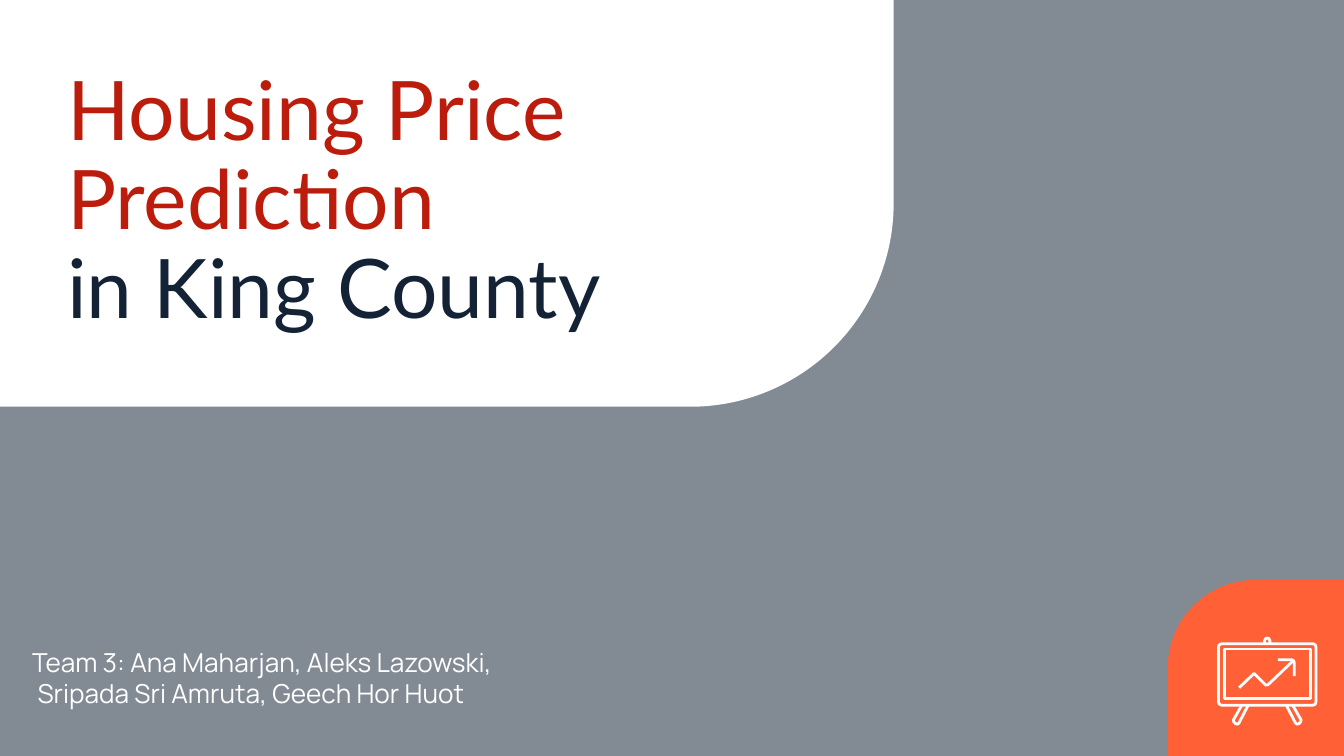
from dataclasses import dataclass

import pptx
import pptx.dml.color
import pptx.enum.shapes
import pptx.enum.text
import pptx.oxml
import pptx.oxml.ns
import pptx.util

Cm = pptx.util.Cm
Pt = pptx.util.Pt
Preset = pptx.enum.shapes.MSO_SHAPE
Point = tuple[float, float]


@dataclass(frozen=True)
class Theme:
    navy: str = "142236"
    red: str = "BB1C0B"
    orange: str = "FF6035"
    white: str = "FFFFFF"
    title_font: str = "Lato"
    team_font: str = "Manrope"
    title_size: float = 44
    team_size: float = 14
    icon_line: float = 1.5


@dataclass(frozen=True)
class Panel:
    """A filled area, in cm, with an optional flip and opacity in percent."""
    preset: int
    left: float
    top: float
    width: float
    height: float
    color: str
    flip: str = ""
    opacity: int = 100


THEME = Theme()
WIDTH, HEIGHT = 25.4, 14.29
BADGE = 3.33
ICON_CENTER = 23.95

PANELS = [
    Panel(Preset.RECTANGLE, 0, 0, WIDTH, HEIGHT, THEME.navy, opacity=53),
    Panel(Preset.ROUND_1_RECTANGLE, 0, 0, 16.89, 7.69, THEME.white, flip="flipV"),
    Panel(Preset.ROUND_1_RECTANGLE, WIDTH - BADGE, HEIGHT - BADGE, BADGE, BADGE,
          THEME.orange, flip="flipH"),
]

# Icon outlines: x is measured from the icon's centre line, y from the slide top
LEFT_LEG: list[Point] = [(-0.48, 13.33), (-0.64, 13.61), (-0.63, 13.65), (-0.6, 13.68),
                         (-0.56, 13.69), (-0.53, 13.66), (-0.36, 13.33)]
KNOB_LEFT: list[Point] = [(-0.05, 12.17), (-0.05, 12.11), (-0.03, 12.07), (0, 12.06)]
TREND: list[Point] = [(0.48, 12.5), (0.03, 12.93), (0, 12.95), (-0.03, 12.95),
                      (-0.05, 12.93), (-0.25, 12.73), (-0.53, 13)]
TREND_HEAD: list[Point] = [(0.2, 12.47), (0.46, 12.47), (0.5, 12.49),
                           (0.51, 12.53), (0.51, 12.78)]


def rgb(color: str) -> pptx.dml.color.RGBColor:
    return pptx.dml.color.RGBColor.from_string(color)


def mirrored(points: list[Point]) -> list[Point]:
    return [(-x, y) for x, y in points]


def draw_panel(slide, panel: Panel) -> None:
    shape = slide.shapes.add_shape(panel.preset, Cm(panel.left), Cm(panel.top),
                                   Cm(panel.width), Cm(panel.height))
    shape.shadow.inherit = False
    shape.line.fill.background()
    shape.fill.solid()
    shape.fill.fore_color.rgb = rgb(panel.color)
    if panel.preset == Preset.ROUND_1_RECTANGLE:
        shape.adjustments[0] = 0.5
    if panel.flip:
        shape._element.spPr.find(pptx.oxml.ns.qn("a:xfrm")).set(panel.flip, "1")
    if panel.opacity < 100:
        color = shape._element.spPr.find(".//" + pptx.oxml.ns.qn("a:srgbClr"))
        alpha = pptx.oxml.parse_xml(f'<a:alpha {pptx.oxml.ns.nsdecls("a")} '
                                    f'val="{panel.opacity * 1000}"/>')
        color.append(alpha)


def outline(shape) -> None:
    shape.shadow.inherit = False
    shape.fill.background()
    shape.line.color.rgb = rgb(THEME.white)
    shape.line.width = Pt(THEME.icon_line)


def draw_stroke(slide, points: list[Point]) -> None:
    start, *rest = [(Cm(ICON_CENTER + x), Cm(y)) for x, y in points]
    builder = slide.shapes.build_freeform(*start)
    builder.add_line_segments(rest, close=False)
    outline(builder.convert_to_shape())


def draw_frame(slide, preset: int, top: float, width: float, height: float):
    frame = slide.shapes.add_shape(preset, Cm(ICON_CENTER - width / 2), Cm(top),
                                   Cm(width), Cm(height))
    outline(frame)
    return frame


def draw_icon(slide) -> None:
    board = draw_frame(slide, Preset.ROUNDED_RECTANGLE, 12.17, 1.84, 1.16)
    board.adjustments[0] = 0.05
    draw_frame(slide, Preset.RECTANGLE, 12.27, 1.63, 0.94)
    knob = KNOB_LEFT + mirrored(KNOB_LEFT[:-1])[::-1]
    for points in (knob, LEFT_LEG, mirrored(LEFT_LEG), TREND, TREND_HEAD):
        draw_stroke(slide, points)


def style_runs(paragraph, font: str, size: float, color: str) -> None:
    paragraph.alignment = pptx.enum.text.PP_ALIGN.LEFT
    for run in paragraph.runs:
        run.font.name = font
        run.font.size = Pt(size)
        run.font.color.rgb = rgb(color)


def write_title(slide) -> None:
    title = slide.shapes.title
    # Bring the title in front of the panels
    title._element.getparent().append(title._element)
    title.left, title.top = Cm(1.27), Cm(1.27)
    title.width, title.height = Cm(14.3), Cm(5.13)
    frame = title.text_frame
    frame.text = "Housing Price Prediction\nin King County"
    frame.word_wrap = True
    frame.auto_size = pptx.enum.text.MSO_AUTO_SIZE.NONE
    frame.vertical_anchor = pptx.enum.text.MSO_ANCHOR.MIDDLE
    frame.margin_left = frame.margin_right = frame.margin_top = frame.margin_bottom = 0
    for paragraph, color in zip(frame.paragraphs, (THEME.red, THEME.navy)):
        paragraph.line_spacing = 0.9
        style_runs(paragraph, THEME.title_font, THEME.title_size, color)


def write_team(slide) -> None:
    team = slide.shapes.add_textbox(Cm(0.36), Cm(11.96), Cm(11.76), Cm(1.7))
    frame = team.text_frame
    frame.text = "Team 3: Ana Maharjan, Aleks Lazowski,\nSripada Sri Amruta, Geech Hor Huot"
    frame.word_wrap = True
    frame.auto_size = pptx.enum.text.MSO_AUTO_SIZE.SHAPE_TO_FIT_TEXT
    frame.margin_left = frame.margin_right = Cm(0.25)
    frame.margin_top = frame.margin_bottom = Cm(0.25)
    for paragraph in frame.paragraphs:
        style_runs(paragraph, THEME.team_font, THEME.team_size, THEME.white)
    # Slight indent of the second line of names
    frame.paragraphs[1]._p.get_or_add_pPr().set("marL", str(Cm(0.1)))


def main() -> None:
    deck = pptx.Presentation()
    deck.slide_width, deck.slide_height = Cm(WIDTH), Cm(HEIGHT)
    slide = deck.slides.add_slide(deck.slide_layouts.get_by_name("Title Only"))

    # Background, title panel and corner badge
    for panel in PANELS:
        draw_panel(slide, panel)

    # Text and presentation-board icon
    write_title(slide)
    draw_icon(slide)
    write_team(slide)
    deck.save("out.pptx")


if __name__ == "__main__":
    main()
